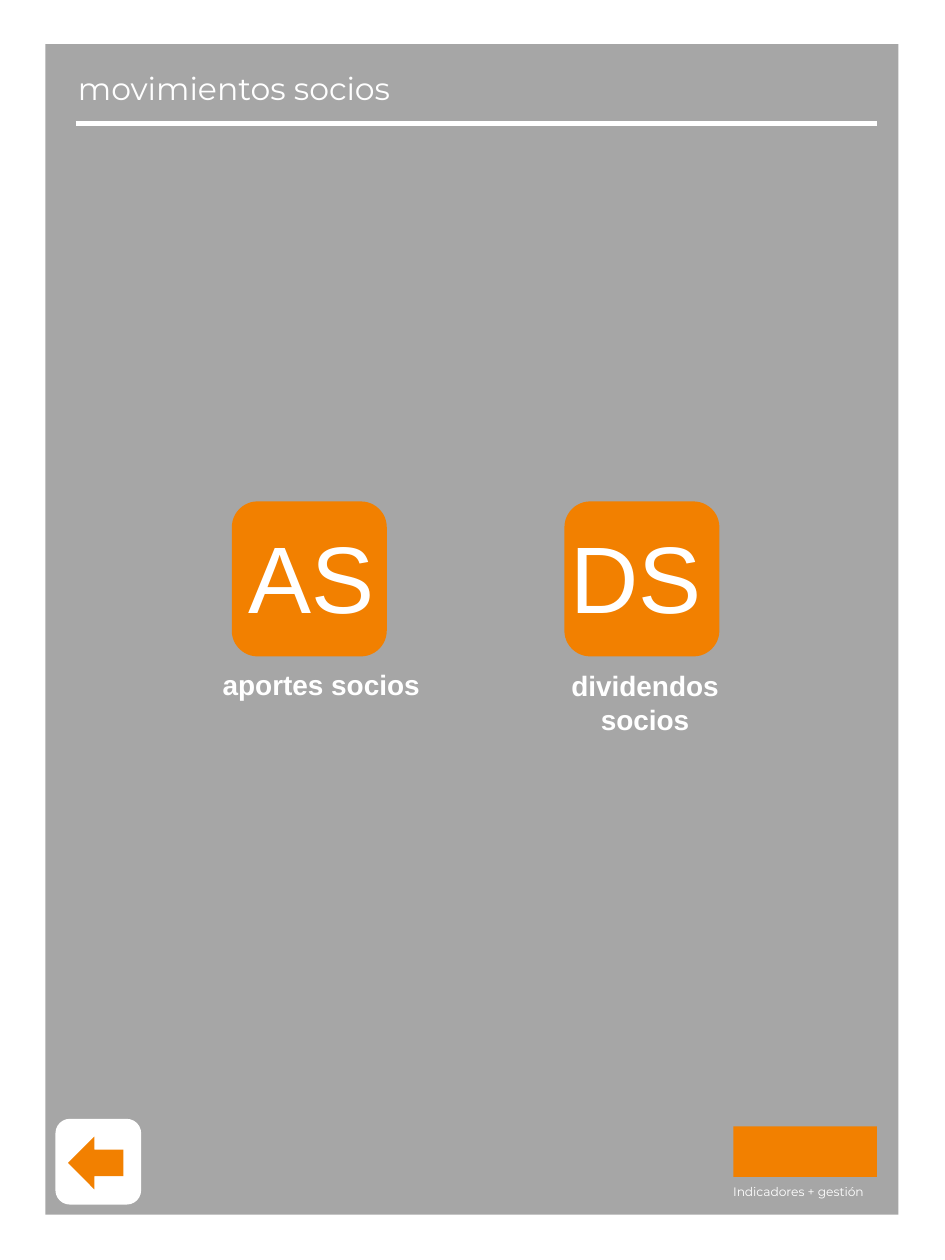
import pptx
import pptx.dml.color
import pptx.enum.shapes
import pptx.enum.text
import pptx.oxml.ns
import pptx.util
from lxml import etree

GRAY = pptx.dml.color.RGBColor(0xA6, 0xA6, 0xA6)
ORANGE = pptx.dml.color.RGBColor(0xF2, 0x80, 0x00)
WHITE = pptx.dml.color.RGBColor(0xFF, 0xFF, 0xFF)
SHAPES = pptx.enum.shapes.MSO_SHAPE
LEFT = pptx.enum.text.PP_ALIGN.LEFT
CENTER = pptx.enum.text.PP_ALIGN.CENTER

deck = pptx.Presentation()
deck.slide_width = pptx.util.Inches(7.5)
deck.slide_height = pptx.util.Inches(10)
page = deck.slides.add_slide(deck.slide_layouts[6])

# Grid of 75 columns by 100 rows
COLUMN = deck.slide_width / 75
ROW = deck.slide_height / 100


def place(column, row, columns, rows):
    return [round(n) for n in (column * COLUMN, row * ROW, columns * COLUMN, rows * ROW)]


def add_block(kind, color, *cells):
    block = page.shapes.add_shape(kind, *place(*cells))
    block.shadow.inherit = False
    block.fill.solid()
    block.fill.fore_color.rgb = color
    block.line.fill.background()


def add_text(text, font, size, alignment, bold, *cells):
    box = page.shapes.add_textbox(*place(*cells))
    box.text_frame.word_wrap = True
    para = box.text_frame.paragraphs[0]
    para.text = text
    para.alignment = alignment
    para.font.name = font
    para.font.size = pptx.util.Pt(size)
    para.font.bold = bold
    para.font.color.rgb = WHITE


# Background panel
add_block(SHAPES.RECTANGLE, GRAY, 3.6, 3.5, 67.7, 92.9)

# Plain block in the logo's place, with the tagline
add_block(SHAPES.RECTANGLE, ORANGE, 58.2, 89.4, 11.4, 4)
add_text("Indicadores + gestión", "Montserrat", 7, LEFT, False, 57.2, 93.5, 15, 2.2)

# Title and rule
add_text("movimientos socios", "Montserrat", 18, LEFT, False, 5.2, 5, 58.6, 4)
start_x, start_y, length, _ = place(6, 9.8, 63.6, 0)
rule = page.shapes.add_connector(
    pptx.enum.shapes.MSO_CONNECTOR.STRAIGHT, start_x, start_y, start_x + length, start_y)
rule.line.color.rgb = WHITE
rule.line.width = pptx.util.Pt(3)
etree.SubElement(rule._element.spPr, pptx.oxml.ns.qn("a:effectLst"))

# Menu buttons: tile column, initials column, label column, label row
buttons = [
    ("AS", "aportes socios", 18.4, 18.5, 15.5, 52.5, 3.7),
    ("DS", "dividendos socios", 44.8, 44.2, 41.2, 52.6, 6.4),
]
for initials, label, tile, letters, caption, caption_row, caption_rows in buttons:
    add_block(SHAPES.ROUNDED_RECTANGLE, ORANGE, tile, 39.8, 12.3, 12.3)
    add_text(initials, "Arial", 54, CENTER, False, letters, 40.7, 12.5, 10.1)
    add_text(label, "Arial", 16, CENTER, True, caption, caption_row, 20, caption_rows)

# Back button
add_block(SHAPES.ROUNDED_RECTANGLE, WHITE, 4.4, 88.8, 6.8, 6.8)
add_block(SHAPES.LEFT_ARROW, ORANGE, 5.4, 90.2, 4.4, 4.2)

deck.save("out.pptx")
